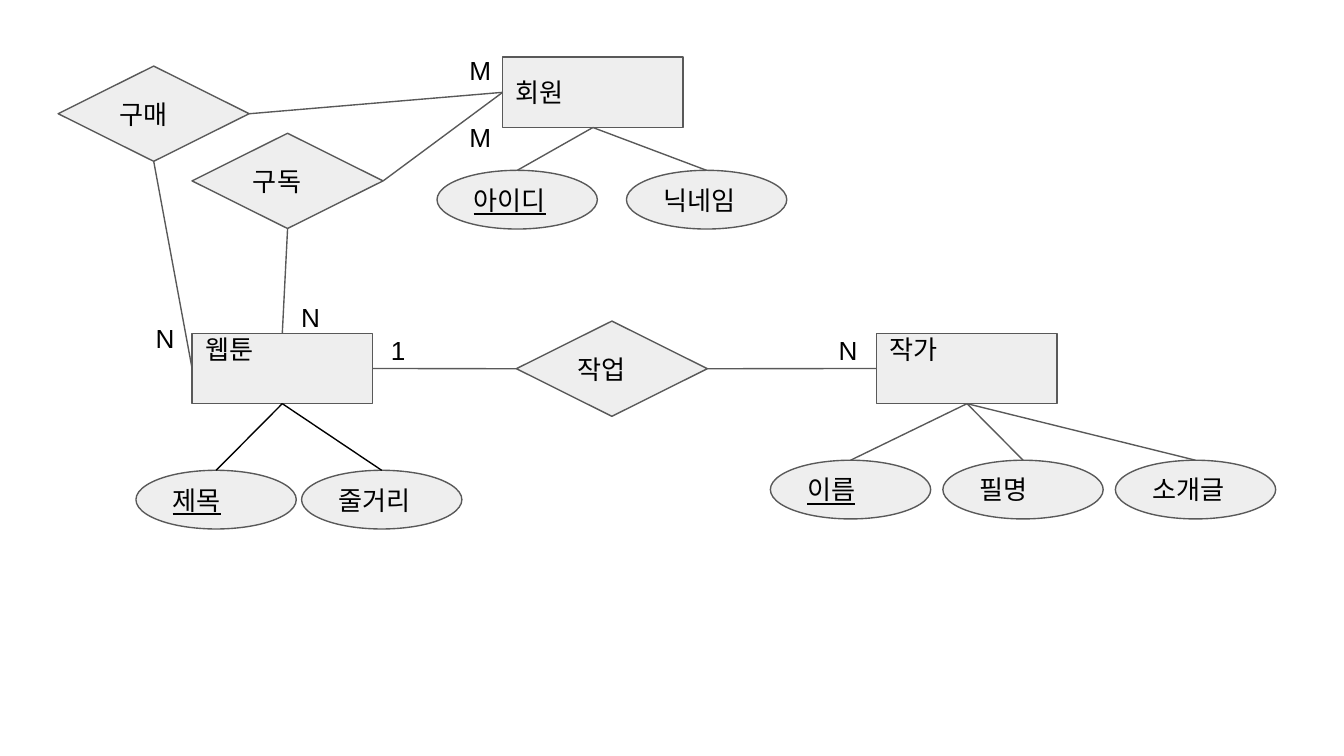
from dataclasses import dataclass

from lxml import etree
from pptx import Presentation
from pptx.dml.color import RGBColor
from pptx.enum.shapes import MSO_CONNECTOR, MSO_SHAPE
from pptx.enum.text import MSO_ANCHOR, PP_ALIGN
from pptx.oxml.ns import qn
from pptx.util import Cm, Pt

ENTITY = MSO_SHAPE.RECTANGLE
RELATION = MSO_SHAPE.DIAMOND
ATTRIBUTE = MSO_SHAPE.OVAL
STRAIGHT = MSO_CONNECTOR.STRAIGHT
TOP_ANCHOR, MIDDLE_ANCHOR = MSO_ANCHOR.TOP, MSO_ANCHOR.MIDDLE
LEFT_ALIGN = PP_ALIGN.LEFT
TOP, LEFT, BOTTOM, RIGHT = range(4)


@dataclass(frozen=True)
class Theme:
    """Colours, type and line weight of the diagram."""
    fill: RGBColor = RGBColor(0xEE, 0xEE, 0xEE)
    line: RGBColor = RGBColor(0x59, 0x59, 0x59)
    ink: RGBColor = RGBColor(0, 0, 0)
    font: str = "Arial"
    size: Pt = Pt(14)
    weight: Pt = Pt(0.75)
    inset: Cm = Cm(0.25)


THEME = Theme()
SIZES = {ENTITY: (3.41, 1.33), RELATION: (3.61, 1.8), ATTRIBUTE: (3.03, 1.11)}


def write_text(box, text, anchor, underline=False):
    """Write one left-aligned line into a box."""
    frame = box.text_frame
    frame.word_wrap = True
    frame.vertical_anchor = anchor
    frame.margin_left = frame.margin_right = THEME.inset
    frame.margin_top = frame.margin_bottom = THEME.inset
    paragraph = frame.paragraphs[0]
    paragraph.text = text
    paragraph.alignment = LEFT_ALIGN
    font = paragraph.font
    font.name, font.size, font.underline = THEME.font, THEME.size, underline
    font.color.rgb = THEME.ink


def add_node(slide, kind, text, left, top, underline=False):
    """Add an entity, relation or attribute and return its shape."""
    width, height = SIZES[kind]
    node = slide.shapes.add_shape(kind, Cm(left), Cm(top), Cm(width), Cm(height))
    node.shadow.inherit = False
    node.fill.solid()
    node.fill.fore_color.rgb = THEME.fill
    node.line.color.rgb = THEME.line
    node.line.width = THEME.weight
    write_text(node, text, MIDDLE_ANCHOR, underline)
    return node


def raise_text(node):
    """Move the text of a node to its top edge."""
    node.text_frame.vertical_anchor = TOP_ANCHOR
    node.text_frame.margin_top = 0


def link(slide, start, start_site, end, end_site, color=THEME.line):
    """Join two nodes with a straight line between connection sites."""
    connector = slide.shapes.add_connector(STRAIGHT, 0, 0, 0, 0)
    connector.begin_connect(start, start_site)
    connector.end_connect(end, end_site)
    connector.line.color.rgb = color
    connector.line.width = THEME.weight
    etree.SubElement(connector._element.spPr, qn("a:effectLst"))


def add_attributes(slide, entity, names, left, top, step, color=THEME.line):
    """Add a row of linked attributes, the first being the underlined key."""
    for index, name in enumerate(names):
        attribute = add_node(slide, ATTRIBUTE, name, left + index * step, top,
                             underline=index == 0)
        link(slide, attribute, TOP, entity, BOTTOM, color)


def add_cardinality(slide, text, left, top):
    """Add a cardinality label beside a line end."""
    box = slide.shapes.add_textbox(Cm(left), Cm(top), Cm(1.24), Cm(0.86))
    write_text(box, text, TOP_ANCHOR)


def main():
    """Build the entity relationship diagram."""
    deck = Presentation()
    deck.slide_width, deck.slide_height = Cm(25.4), Cm(14.29)
    slide = deck.slides.add_slide(deck.slide_layouts[6])

    webtoon = add_node(slide, ENTITY, "웹툰", 3.63, 6.3)
    author = add_node(slide, ENTITY, "작가", 16.57, 6.3)
    member = add_node(slide, ENTITY, "회원", 9.5, 1.08)
    raise_text(webtoon)
    raise_text(author)

    add_attributes(slide, webtoon, ["제목", "줄거리"], 2.57, 8.89, 3.13, THEME.ink)
    add_attributes(slide, author, ["이름", "필명", "소개글"], 14.56, 8.7, 3.26)
    add_attributes(slide, member, ["아이디", "닉네임"], 8.26, 3.22, 3.58)

    work = add_node(slide, RELATION, "작업", 9.76, 6.07)
    subscription = add_node(slide, RELATION, "구독", 3.63, 2.52)
    purchase = add_node(slide, RELATION, "구매", 1.1, 1.25)
    link(slide, webtoon, RIGHT, work, LEFT)
    link(slide, work, RIGHT, author, LEFT)
    link(slide, webtoon, TOP, subscription, BOTTOM)
    link(slide, member, LEFT, subscription, RIGHT)
    link(slide, purchase, RIGHT, member, LEFT)
    link(slide, webtoon, LEFT, purchase, BOTTOM)

    for text, left, top in [("1", 7.14, 6.07), ("N", 15.6, 6.07),
                            ("N", 5.44, 5.44), ("M", 8.62, 2.04),
                            ("N", 2.69, 5.85), ("M", 8.62, 0.77)]:
        add_cardinality(slide, text, left, top)

    deck.save("out.pptx")


if __name__ == "__main__":
    main()
